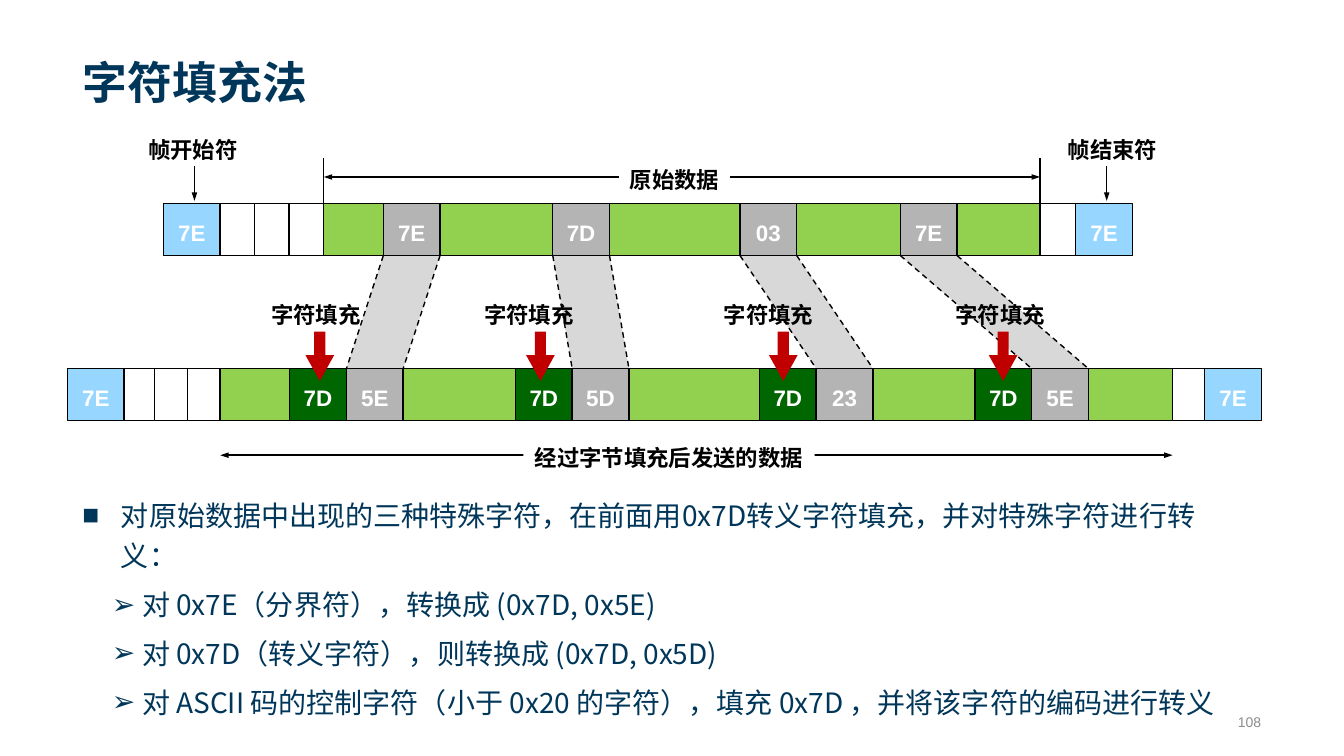
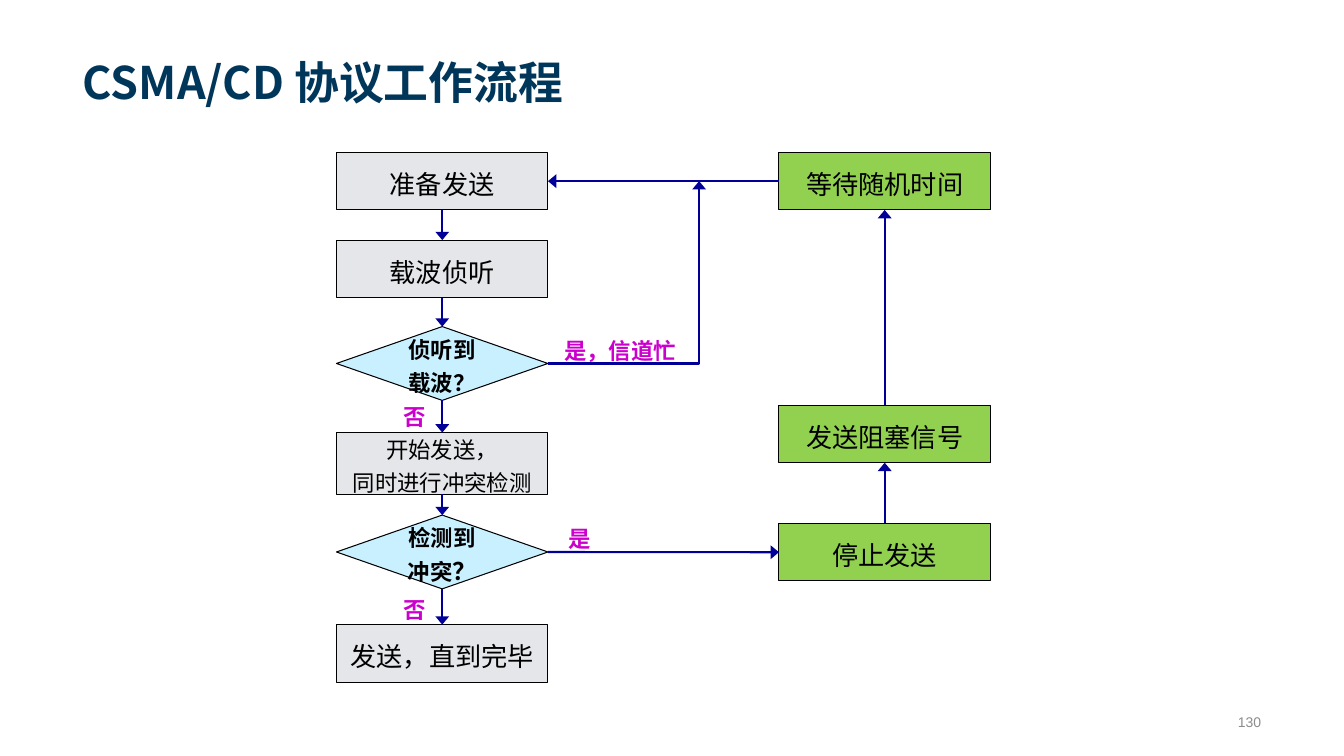
from dataclasses import dataclass

from lxml.etree import SubElement
from pptx import Presentation
from pptx.dml.color import RGBColor
from pptx.enum.dml import MSO_LINE
from pptx.enum.shapes import MSO_CONNECTOR, MSO_SHAPE
from pptx.enum.text import MSO_ANCHOR, PP_ALIGN
from pptx.oxml.ns import qn
from pptx.util import Cm, Pt


@dataclass(frozen=True)
class Theme:
    navy: str = "003659"
    grey: str = "8C8C8C"
    black: str = "000000"
    white: str = "FFFFFF"
    sky: str = "96D6FF"
    green: str = "92D050"
    forest: str = "006600"
    silver: str = "B4B4B4"
    band: str = "D8D8D8"
    red: str = "C00000"
    step: str = "E4E6EA"
    decision: str = "C9F0FF"
    flow: str = "000099"
    answer: str = "CC00CC"
    latin: str = "Arial"
    cjk: str = "Noto Sans CJK SC"
    title: float = 32
    body: float = 20
    node: float = 18.7
    mark: float = 17.3
    label: float = 16
    number: float = 10
    thin: float = 0.75
    line: float = 1
    thick: float = 1.5


T = Theme()

STUFFING_TITLE, STUFFING_NUMBER = "字符填充法", "108"
FLOW_TITLE, FLOW_NUMBER = "CSMA/CD 协议工作流程", "130"

CELL_FILL = {"flag": T.sky, "pad": T.white, "data": T.green,
             "special": T.silver, "escape": T.forest}
CELL_WIDTH, CELL_HEIGHT = 1.43, 1.31
RAW_TOP, SENT_TOP = 5.13, 9.29
RAW_LEFT, SENT_LEFT = 4.12, 1.7
RAW_FRAME = [
    ("flag", "7E"), ("pad", 0.86), ("pad", 0.87), ("pad", 0.88),
    ("data", 1.5), ("special", "7E"), ("data", 2.84), ("special", "7D"),
    ("data", 3.29), ("special", "03"), ("data", 2.61), ("special", "7E"),
    ("data", 2.09), ("pad", 0.9), ("flag", "7E"),
]
SENT_FRAME = [
    ("flag", "7E"), ("pad", 0.77), ("pad", 0.83), ("pad", 0.82),
    ("data", 1.75), ("escape", "7D"), ("special", "5E"),
    ("data", 2.83), ("escape", "7D"), ("special", "5D"),
    ("data", 3.29), ("escape", "7D"), ("special", "23"),
    ("data", 2.57), ("escape", "7D"), ("special", "5E"),
    ("data", 2.12), ("pad", 0.81), ("flag", "7E"),
]
STUFFING_LABEL = "字符填充"
STUFFING_MARKS = [(7.96, 8.06), (13.33, 13.62), (19.37, 19.74), (25.21, 25.28)]
FRAME_ENDS = [("帧开始符", 4.86, 4.9), ("帧结束符", 28.04, 27.89)]
RAW_SPAN = ("原始数据", 17, 2.79, 4.46, 3.92)
SENT_SPAN = ("经过字节填充后发送的数据", 16.86, 7.34, 11.47, 10.93)
RULES = [
    (0, ["对原始数据中出现的三种特殊字符，在前面用0x7D转义字符填充，并对特殊字符进行转", "义："]),
    (1, ["对 0x7E（分界符），转换成 (0x7D, 0x5E)"]),
    (1, ["对 0x7D（转义字符），则转换成 (0x7D, 0x5D)"]),
    (1, ["对 ASCII 码的控制字符（小于 0x20 的字符），填充 0x7D ，并将该字符的编码进行转义"]),
]
BULLETS = [("■", 0.97, 0.97), ("➢", 1.5, 0.76)]

NODE_WIDTH, NODE_HEIGHT, DIAMOND_HEIGHT = 5.33, 1.45, 1.86
MAIN_LEFT, RETRY_LEFT = 8.48, 19.63
NODES = {
    "prepare": ("step", 3.84, [[("准备发送", T.node)]]),
    "sense": ("step", 6.05, [[("载波侦听", T.node)]]),
    "busy": ("decision", 8.23, [[("侦听到载波？", T.label)]]),
    "send": ("step", 10.9, [[("开始发送，", T.label)], [("同时进行冲突检测", T.label)]]),
    "collision": ("decision", 12.98, [[("检测到冲突", T.label), ("？", T.mark)]]),
    "finish": ("step", 15.74, [[("发送，直到完毕", T.node)]]),
    "wait": ("retry", 3.84, [[("等待随机时间", T.node)]]),
    "jam": ("retry", 10.21, [[("发送阻塞信号", T.node)]]),
    "stop": ("retry", 13.19, [[("停止发送", T.node)]]),
}
TWO_LINE_HEIGHT = 1.56
UP, LEFT, DOWN, RIGHT = range(4)
FLOWS = [
    ("prepare", DOWN, "sense", UP), ("sense", DOWN, "busy", UP),
    ("busy", DOWN, "send", UP), ("send", DOWN, "collision", UP),
    ("collision", DOWN, "finish", UP), ("collision", RIGHT, "stop", LEFT),
    ("stop", UP, "jam", DOWN), ("jam", UP, "wait", DOWN),
    ("wait", LEFT, "prepare", RIGHT),
]
BUSY_TURN = 17.62
ANSWERS = [("是，信道忙", 13.95, 8.23, 3.35), ("是", 14.07, 12.97, 1.09),
           ("否", 9.91, 14.76, 1.09), ("否", 9.91, 9.91, 1.09)]


def rgb(colour):
    return RGBColor.from_string(colour)


def add_run(paragraph, text, size, colour, bold=False, face=T.cjk):
    run = paragraph.add_run()
    run.text = text
    font = run.font
    font.size, font.bold, font.name = Pt(size), bold, face
    font.color.rgb = rgb(colour)
    SubElement(font._element, qn("a:ea")).set("typeface", T.cjk)


def write(shape, paragraphs, colour, bold=False, face=T.cjk, align=PP_ALIGN.CENTER,
          anchor=MSO_ANCHOR.MIDDLE, wrap=True, spacing=1.2):
    frame = shape.text_frame
    frame.word_wrap, frame.vertical_anchor = wrap, anchor
    for index, runs in enumerate(paragraphs):
        paragraph = frame.add_paragraph() if index else frame.paragraphs[0]
        paragraph.alignment, paragraph.line_spacing = align, spacing
        for text, size in runs:
            add_run(paragraph, text, size, colour, bold, face)


def add_box(slide, left, top, width, height):
    return slide.shapes.add_textbox(Cm(left), Cm(top), Cm(width), Cm(height))


def paint(shape, fill, line=None):
    shape.shadow.inherit = False
    shape.fill.solid()
    shape.fill.fore_color.rgb = rgb(fill)
    if line:
        shape.line.color.rgb = rgb(T.black)
        shape.line.width = Pt(line)
    else:
        shape.line.fill.background()


def add_shape(slide, preset, left, top, width, height, fill, line=None):
    shape = slide.shapes.add_shape(preset, Cm(left), Cm(top), Cm(width), Cm(height))
    paint(shape, fill, line)
    return shape


def add_line(slide, start, end, colour=T.black, width=T.line, heads=(), head_width="sm",
             dashed=False, route=MSO_CONNECTOR.STRAIGHT):
    line = slide.shapes.add_connector(route, *map(Cm, start + end))
    line.line.color.rgb = rgb(colour)
    line.line.width = Pt(width)
    if dashed:
        line.line.dash_style = MSO_LINE.DASH
    properties = line._element.spPr
    for head in heads:
        tip = SubElement(properties.find(qn("a:ln")), qn(f"a:{head}"))
        tip.set("type", "triangle")
        tip.set("w", head_width)
    SubElement(properties, qn("a:effectLst"))
    return line


def add_label(slide, text, centre, top, width=2.79, colour=T.black, face=T.latin):
    box = add_box(slide, centre - width / 2, top, width, 1.02)
    write(box, [[(text, T.label)]], colour, True, face, anchor=MSO_ANCHOR.TOP, wrap=False)
    return box


def add_slide(deck, title, number):
    slide = deck.slides.add_slide(deck.slide_layouts[6])
    write(add_box(slide, 1.84, 0.36, 30.18, 2.49), [[(title, T.title)]], T.navy, True,
          align=PP_ALIGN.LEFT, anchor=MSO_ANCHOR.BOTTOM, spacing=1)
    write(add_box(slide, 29.79, 17.81, 2.24, 0.76), [[(number, T.number)]], T.grey,
          face=T.latin, align=PP_ALIGN.RIGHT, spacing=1)
    return slide


def place_cells(frame, left):
    cells = []
    for kind, value in frame:
        text = value if isinstance(value, str) else ""
        width = CELL_WIDTH if text else value
        cells.append((kind, text, left, width))
        left += width
    return cells


def lefts_of(cells, kind):
    return [left for cell_kind, _, left, _ in cells if cell_kind == kind]


def payload_of(cells):
    data = [(left, left + width) for kind, _, left, width in cells if kind == "data"]
    return data[0][0], data[-1][1]


def draw_frame(slide, cells, top):
    start, end = payload_of(cells)
    add_shape(slide, MSO_SHAPE.RECTANGLE, start, top, end - start, CELL_HEIGHT, T.green, T.line)
    for kind, text, left, width in cells:
        if kind == "data":
            continue
        cell = add_shape(slide, MSO_SHAPE.RECTANGLE, left, top, width, CELL_HEIGHT,
                         CELL_FILL[kind], T.line)
        if text:
            write(cell, [[(text, T.label)]], T.white, True, T.latin, wrap=False)


def draw_links(slide, pairs):
    top = RAW_TOP + CELL_HEIGHT
    for raw, sent in pairs:
        corners = [(raw, top), (raw + CELL_WIDTH, top),
                   (sent + CELL_WIDTH, SENT_TOP), (sent, SENT_TOP)]
        points = [(Cm(x), Cm(y)) for x, y in corners]
        outline = slide.shapes.build_freeform(*points[0])
        outline.add_line_segments(points[1:], close=True)
        paint(outline.convert_to_shape(), T.band)
        add_line(slide, corners[0], corners[3], dashed=True)
        add_line(slide, corners[1], corners[2], dashed=True)


def draw_span(slide, cells, span):
    text, centre, width, level, top = span
    start, end = payload_of(cells)
    add_line(slide, (start, level), (end, level), heads=("headEnd", "tailEnd"))
    label = add_label(slide, text, centre, top, width)
    label.fill.solid()
    label.fill.fore_color.rgb = rgb(T.white)


def draw_rules(slide):
    frame = add_box(slide, 1.83, 12.27, 30.18, 5.79).text_frame
    frame.word_wrap = True
    for index, (level, lines) in enumerate(RULES):
        paragraph = frame.add_paragraph() if index else frame.paragraphs[0]
        mark, margin, hang = BULLETS[level]
        properties = paragraph._p.get_or_add_pPr()
        properties.set("marL", str(Cm(margin)))
        properties.set("indent", str(-Cm(hang)))
        SubElement(properties, qn("a:buFont")).set("typeface", T.latin)
        SubElement(properties, qn("a:buChar")).set("char", mark)
        paragraph.line_spacing = 1.2
        paragraph.space_before = Pt(6 if index else 0)
        for number, text in enumerate(lines):
            if number:
                paragraph.add_line_break()
            add_run(paragraph, text, T.body, T.navy)


def build_stuffing(deck):
    slide = add_slide(deck, STUFFING_TITLE, STUFFING_NUMBER)
    raw, sent = place_cells(RAW_FRAME, RAW_LEFT), place_cells(SENT_FRAME, SENT_LEFT)
    draw_links(slide, zip(lefts_of(raw, "special"), lefts_of(sent, "special")))
    draw_frame(slide, raw, RAW_TOP)
    draw_frame(slide, sent, SENT_TOP)
    draw_span(slide, raw, RAW_SPAN)
    draw_span(slide, sent, SENT_SPAN)
    for edge in payload_of(raw):
        add_line(slide, (edge, 3.99), (edge, RAW_TOP))
    for text, centre, pointer in FRAME_ENDS:
        add_label(slide, text, centre, 3.18)
        add_line(slide, (pointer, 4.19), (pointer, 5.06), heads=("tailEnd",))
    for centre, pointer in STUFFING_MARKS:
        add_label(slide, STUFFING_LABEL, centre, 7.34)
        arrow = add_shape(slide, MSO_SHAPE.DOWN_ARROW, pointer - 0.36, 8.36, 0.72, 1.24, T.red)
        arrow.adjustments[0], arrow.adjustments[1] = 0.39, 0.9
    draw_rules(slide)


def build_flow(deck):
    slide = add_slide(deck, FLOW_TITLE, FLOW_NUMBER)
    fills = {"step": T.step, "decision": T.decision, "retry": T.green}
    arrow_style = (T.flow, T.thick, ("tailEnd",), "lg")
    nodes = {}
    for key, (kind, top, paragraphs) in NODES.items():
        decision = kind == "decision"
        height = DIAMOND_HEIGHT if decision else NODE_HEIGHT
        if len(paragraphs) > 1:
            height = TWO_LINE_HEIGHT
        nodes[key] = add_shape(
            slide, MSO_SHAPE.DIAMOND if decision else MSO_SHAPE.RECTANGLE,
            RETRY_LEFT if kind == "retry" else MAIN_LEFT, top, NODE_WIDTH, height,
            fills[kind], T.thin)
        write(nodes[key], paragraphs, T.black, decision)
    for source, exit_side, target, entry_side in FLOWS:
        arrow = add_line(slide, (0, 0), (0, 0), *arrow_style)
        arrow.begin_connect(nodes[source], exit_side)
        arrow.end_connect(nodes[target], entry_side)
    busy_level = NODES["busy"][1] + DIAMOND_HEIGHT / 2
    return_level = NODES["wait"][1] + NODE_HEIGHT / 2
    detour = add_line(slide, (MAIN_LEFT + NODE_WIDTH, busy_level), (BUSY_TURN, return_level),
                      *arrow_style, route=MSO_CONNECTOR.ELBOW)
    detour._element.spPr.find(qn("a:prstGeom")).set("prst", "bentConnector2")
    for text, left, top, width in ANSWERS:
        add_label(slide, text, left + width / 2, top, width, T.answer, T.cjk)


def main():
    deck = Presentation()
    deck.slide_width, deck.slide_height = Cm(33.87), Cm(19.05)
    build_stuffing(deck)
    build_flow(deck)
    deck.save("out.pptx")


if __name__ == "__main__":
    main()
